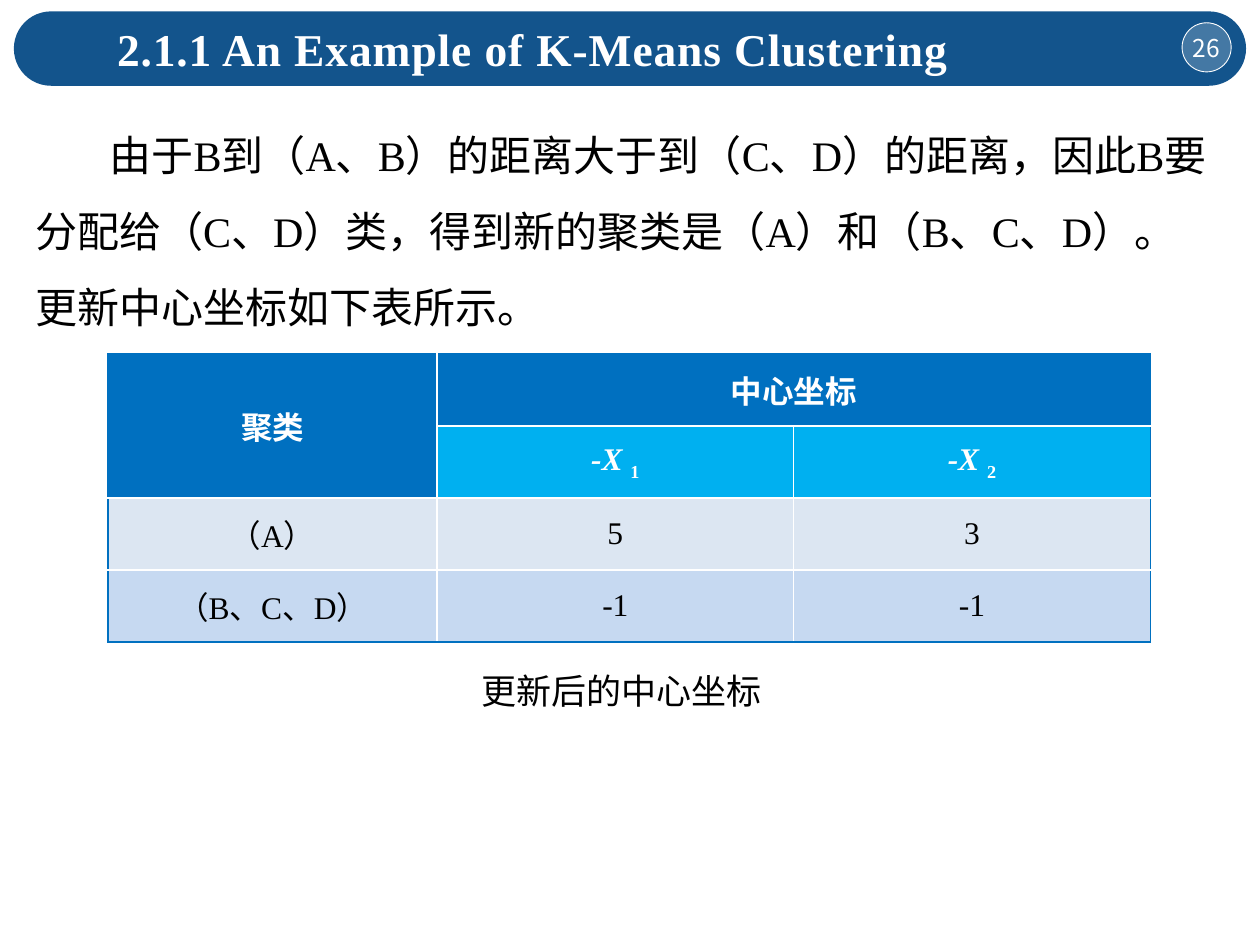
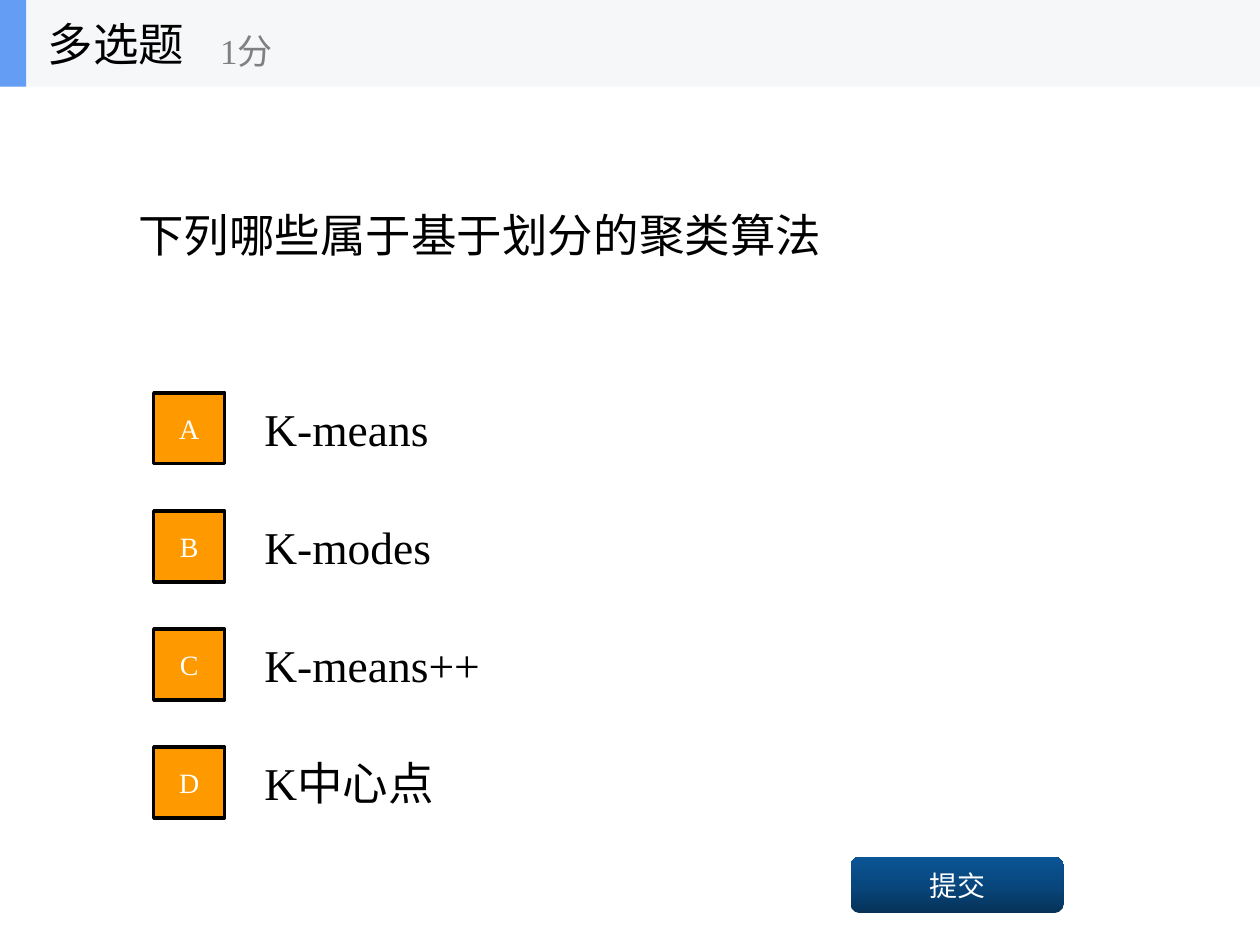
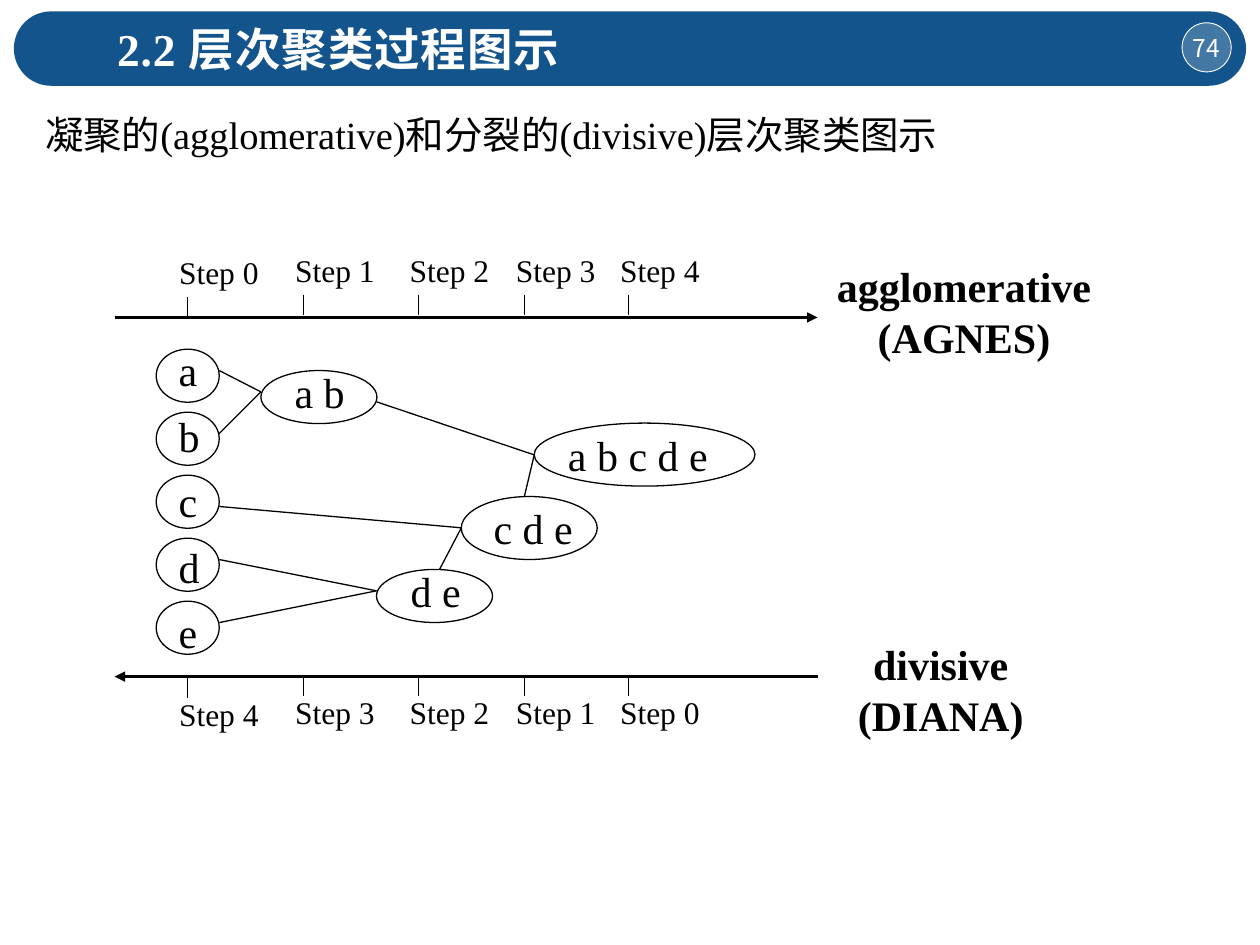
import copy
from dataclasses import dataclass

import lxml.etree
import pptx
import pptx.dml.color
import pptx.enum.shapes
import pptx.enum.text
import pptx.oxml.ns
import pptx.util

Cm, Pt = pptx.util.Cm, pptx.util.Pt
qn = pptx.oxml.ns.qn
Shape = pptx.enum.shapes.MSO_SHAPE
Align = pptx.enum.text.PP_ALIGN
Anchor = pptx.enum.text.MSO_ANCHOR

# Shared look
SERIF, SANS = "Times New Roman", "Noto Sans CJK SC"
BLACK, WHITE, GREY = "000000", "FFFFFF", "808080"
BAND, ORANGE, BULLET = "13548C", "FF9900", "FF6600"
TABLE_BLUE, SUBHEAD_BLUE = "0070C0", "00B0F0"
SUBMIT_STOPS = [(0, "063258"), (50, "08477E"), (100, "0A5595")]


@dataclass(frozen=True)
class Style:
    size: float
    color: str = BLACK
    bold: bool = False
    font: str = SERIF
    align: Align = Align.LEFT


@dataclass(frozen=True)
class Box:
    """Left, top, width and height in centimetres."""
    left: float
    top: float
    width: float
    height: float

    def lengths(self) -> list:
        return [Cm(v) for v in (self.left, self.top, self.width, self.height)]


@dataclass(frozen=True)
class Cluster:
    members: str
    oval: Box
    label: Box


@dataclass(frozen=True)
class Timeline:
    axis_y: float
    tick_top: float
    label_top: float
    steps: range
    arrow: str
    method: str
    method_box: Box


TITLE = Style(26, WHITE, bold=True)
PAGE_NUMBER = Style(14, WHITE, font=SANS, align=Align.CENTER)
BODY = Style(24)
QUIZ = Style(26)
BUTTON = Style(16, WHITE, align=Align.CENTER)
METHOD = Style(24, bold=True, align=Align.CENTER)


def rgb(color: str):
    return pptx.dml.color.RGBColor.from_string(color)


def add_xml(parent, tag: str, **attributes: str):
    child = lxml.etree.SubElement(parent, qn(tag))
    for key, value in attributes.items():
        child.set(key, value)
    return child


def set_style(paragraph, style: Style) -> None:
    paragraph.alignment = style.align
    font = paragraph.font
    font.size, font.bold, font.name = Pt(style.size), style.bold, style.font
    font.color.rgb = rgb(style.color)
    add_xml(paragraph._p.pPr.find(qn("a:defRPr")), "a:ea", typeface=SANS)


def write(frame, text: str, style: Style, anchor=Anchor.TOP, inset: bool = True,
          wrap: bool = True):
    """Fill a text frame, one paragraph a line, and return the first paragraph."""
    frame.word_wrap = wrap
    frame.vertical_anchor = anchor
    if not inset:
        frame.margin_left = frame.margin_right = 0
        frame.margin_top = frame.margin_bottom = 0
    frame.text = text
    for paragraph in frame.paragraphs:
        set_style(paragraph, style)
    return frame.paragraphs[0]


def add_text(slide, box: Box, text: str, style: Style, anchor=Anchor.TOP,
             inset: bool = True, wrap: bool = True):
    frame = slide.shapes.add_textbox(*box.lengths()).text_frame
    paragraph = write(frame, text, style, anchor, inset, wrap)
    if not wrap:
        frame.auto_size = pptx.enum.text.MSO_AUTO_SIZE.SHAPE_TO_FIT_TEXT
    return paragraph


def add_shape(slide, kind, box: Box, fill: str = "", line: str = "", width: float = 0.75):
    shape = slide.shapes.add_shape(kind, *box.lengths())
    shape.shadow.inherit = False
    if fill:
        shape.fill.solid()
        shape.fill.fore_color.rgb = rgb(fill)
    else:
        shape.fill.background()
    if line:
        shape.line.color.rgb = rgb(line)
        shape.line.width = Pt(width)
    else:
        shape.line.fill.background()
    return shape


def add_line(slide, x1: float, y1: float, x2: float, y2: float,
             width: float = 0.75, arrow: str = "") -> None:
    line = slide.shapes.add_connector(pptx.enum.shapes.MSO_CONNECTOR.STRAIGHT,
                                      Cm(x1), Cm(y1), Cm(x2), Cm(y2))
    line.line.color.rgb = rgb(BLACK)
    line.line.width = Pt(width)
    if arrow:
        add_xml(line.line._get_or_add_ln(), arrow, type="triangle")
    add_xml(line._element.spPr, "a:effectLst")


def add_heading(slide, title: str, page: int) -> None:
    band = add_shape(slide, Shape.ROUNDED_RECTANGLE, Box(0.28, 0.23, 24.84, 1.5), BAND)
    band.adjustments[0] = 0.5
    badge = add_shape(slide, Shape.OVAL, Box(23.83, 0.46, 0.99, 0.99), WHITE, WHITE, 0.5)
    badge_color = badge._element.spPr.find(qn("a:solidFill"))[0]
    add_xml(badge_color, "a:alpha", val="21000")
    write(badge.text_frame, str(page), PAGE_NUMBER, Anchor.MIDDLE, inset=False, wrap=False)
    heading = add_text(slide, Box(2.11, 0.3, 18.8, 1.37), title, TITLE)
    heading.runs[0]._r.get_or_add_rPr().set("spc", "50")


# Table of centres
def set_border(cell, side: str, color: str) -> None:
    line = add_xml(cell._tc.get_or_add_tcPr(), f"a:{side}", w=str(Pt(1)))
    add_xml(add_xml(line, "a:solidFill"), "a:srgbClr", val=color)


def add_centres_table(slide) -> None:
    rows = [["聚类", "中心坐标", ""],
            ["", "-X 1", "-X 2"],
            ["（A）", "5", "3"],
            ["（B、C、D）", "-1", "-1"]]
    fills = [TABLE_BLUE, SUBHEAD_BLUE, "DCE6F2", "C6D9F1"]
    widths = [6.63, 7.19, 7.19]
    row_height = 1.45
    box = Box(2.18, 7.14, sum(widths), row_height * len(rows))
    table = slide.shapes.add_table(len(rows), len(widths), *box.lengths()).table
    table.first_row = table.horz_banding = False
    for column, width in zip(table.columns, widths):
        column.width = Cm(width)
    for row in table.rows:
        row.height = Cm(row_height)
    table.cell(0, 0).merge(table.cell(1, 0))
    table.cell(0, 1).merge(table.cell(0, 2))

    for r, texts in enumerate(rows):
        for c, text in enumerate(texts):
            cell = table.cell(r, c)
            if cell.is_spanned:
                continue
            is_head = r < 2
            cell.margin_left = cell.margin_right = cell.margin_top = cell.margin_bottom = 0
            cell.vertical_anchor = Anchor.MIDDLE
            style = Style(18, WHITE if is_head else BLACK, bold=is_head, align=Align.CENTER)
            paragraph = cell.text_frame.paragraphs[0]
            set_style(paragraph, style)
            if r == 1:
                variable, index = paragraph.add_run(), paragraph.add_run()
                variable.text, index.text = text[:-1], text[-1]
                variable.font.italic = True
                index._r.get_or_add_rPr().set("baseline", "-24000")
            else:
                paragraph.add_run().text = text
            # Outer edges are blue, inner ones white
            bottom = r + (cell.span_height if cell.is_merge_origin else 1)
            right = c + (cell.span_width if cell.is_merge_origin else 1)
            outer = {"lnL": c == 0, "lnR": right == len(widths),
                     "lnT": r == 0, "lnB": bottom == len(rows)}
            for side, is_outer in outer.items():
                set_border(cell, side, TABLE_BLUE if is_outer else WHITE)
            cell.fill.solid()
            cell.fill.fore_color.rgb = rgb(fills[r])


def build_example(slide) -> None:
    add_heading(slide, "2.1.1 An Example of K-Means Clustering", 26)
    explanation = add_text(
        slide, Box(0.71, 2.11, 24, 4.45),
        "由于B到（A、B）的距离大于到（C、D）的距离，因此B要分配给（C、D）类，"
        "得到新的聚类是（A）和（B、C、D）。 更新中心坐标如下表所示。", BODY, inset=False)
    explanation.line_spacing = 1.5
    explanation._p.pPr.set("indent", str(Cm(1.5)))
    add_centres_table(slide)
    caption = add_text(slide, Box(9.7, 13.59, 5.99, 0.79), "更新后的中心坐标",
                       Style(20), inset=False)
    caption.line_spacing = Pt(21.5)


# Quiz
def build_quiz(slide) -> None:
    header_height = 1.75
    add_shape(slide, Shape.RECTANGLE, Box(0, 0, 25.4, header_height), "F6F7F8")
    add_shape(slide, Shape.RECTANGLE, Box(0, 0, 0.53, header_height), "639EF4")
    add_text(slide, Box(0.71, 0, 5.28, header_height), "多选题", QUIZ, Anchor.MIDDLE)
    add_text(slide, Box(4.19, 0.3, 6.35, 1.42), "1分", Style(20, GREY), Anchor.MIDDLE)
    add_text(slide, Box(2.54, 1.75, 20.32, 5.94), "下列哪些属于基于划分的聚类算法",
             QUIZ, Anchor.MIDDLE)

    options = ["K-means", "K-modes", "K-means++", "K中心点"]
    for i, (letter, option) in enumerate(zip("ABCD", options)):
        top = 7.75 + 2.38 * i
        add_text(slide, Box(5.08, top, 17.78, 1.78), option, QUIZ, Anchor.MIDDLE)
        key = add_shape(slide, Shape.RECTANGLE, Box(3.1, top + 0.17, 1.43, 1.43),
                        ORANGE, BLACK, 2)
        write(key.text_frame, letter, BUTTON, Anchor.MIDDLE)

    submit = add_shape(slide, Shape.ROUNDED_RECTANGLE, Box(17.15, 17.27, 4.29, 1.14))
    submit.fill.gradient()
    submit.fill.gradient_angle = 90
    stop_list = submit._element.spPr.find(qn("a:gradFill")).find(qn("a:gsLst"))
    stop_list.insert(1, copy.deepcopy(stop_list[0]))
    for stop, (position, color) in zip(submit.fill.gradient_stops, SUBMIT_STOPS):
        stop.position = position / 100
        stop.color.rgb = rgb(color)
    write(submit.text_frame, "提交", BUTTON, Anchor.MIDDLE)


# Hierarchical clustering
AXIS_LEFT, AXIS_RIGHT = 2.31, 16.48
TICKS = [3.78, 6.12, 8.43, 10.57, 12.67]
TIMELINES = [
    Timeline(6.4, 5.94, 4.93, range(5), "a:tailEnd",
             "agglomerative\n(AGNES)", Box(16.59, 5.13, 5.69, 2.31)),
    Timeline(13.64, 13.61, 13.84, range(4, -1, -1), "a:headEnd",
             "divisive\n(DIANA)", Box(17.02, 12.75, 3.89, 2.31)),
]
LABEL_HEIGHT = 1.27
LEAVES = [Cluster(name, Box(3.15, 7.04 + 1.27 * i, 1.27, 1.07),
                  Box(3.35, 6.83 + 1.32 * i, 0.91, LABEL_HEIGHT))
          for i, name in enumerate("abcde")]
MERGED = [
    Cluster("a b", Box(5.26, 7.47, 2.34, 1.07), Box(5.69, 7.26, 1.52, LABEL_HEIGHT)),
    Cluster("d e", Box(7.59, 11.48, 2.34, 1.07), Box(8.03, 11.28, 1.52, LABEL_HEIGHT)),
    Cluster("c d e", Box(9.3, 10.01, 2.74, 1.27), Box(9.7, 10.01, 2.11, LABEL_HEIGHT)),
    Cluster("a b c d e", Box(10.77, 8.53, 4.45, 1.27), Box(11.2, 8.53, 3.33, LABEL_HEIGHT)),
]
# Where each merged cluster is entered, and where its members' lines start
LINKS = {
    (5.26, 7.9): [(4.42, 7.47), (4.42, 8.74)],
    (7.59, 11.91): [(4.42, 11.28), (4.42, 12.55)],
    (9.3, 10.64): [(4.42, 10.21), (8.86, 11.48)],
    (10.77, 9.17): [(7.59, 8.1), (10.57, 10.01)],
}


def add_timeline(slide, timeline: Timeline) -> None:
    add_line(slide, AXIS_LEFT, timeline.axis_y, AXIS_RIGHT, timeline.axis_y,
             1.5, timeline.arrow)
    for i, (x, step) in enumerate(zip(TICKS, timeline.steps)):
        drop = 0.04 if i == 0 else 0
        top = timeline.tick_top + drop
        add_line(slide, x, top, x, top + 0.42)
        add_text(slide, Box(x - 0.42, timeline.label_top + drop, 2.11, 1.02),
                 f"Step {step}", Style(18), wrap=False)
    add_text(slide, timeline.method_box, timeline.method, METHOD, wrap=False)


def build_hierarchy(slide) -> None:
    add_heading(slide, "2.2 层次聚类过程图示", 74)
    point = slide.shapes.add_textbox(*Box(0.71, 2.11, 23.19, 1.5).lengths()).text_frame
    point.margin_left = point.margin_right = Cm(0.2)
    paragraph = point.paragraphs[0]
    paragraph.line_spacing = 1.5
    properties = paragraph._p.get_or_add_pPr()
    properties.set("marL", str(Cm(1)))
    properties.set("indent", str(Cm(-1)))
    add_xml(add_xml(properties, "a:buClr"), "a:srgbClr", val=BULLET)
    add_xml(properties, "a:buSzPct", val="80000")
    add_xml(properties, "a:buChar", char="●")
    write(point, "凝聚的(agglomerative)和分裂的(divisive)层次聚类图示", Style(22))

    for timeline in TIMELINES:
        add_timeline(slide, timeline)
    for cluster in LEAVES + MERGED:
        add_text(slide, cluster.label, cluster.members, BODY, wrap=False)
        add_shape(slide, Shape.OVAL, cluster.oval, line=BLACK)
    for entry, starts in LINKS.items():
        for start in starts:
            add_line(slide, *start, *entry)


def main() -> None:
    deck = pptx.Presentation()
    deck.slide_width, deck.slide_height = Cm(25.4), Cm(19.05)
    for build in (build_example, build_quiz, build_hierarchy):
        build(deck.slides.add_slide(deck.slide_layouts[6]))
    deck.save("out.pptx")


if __name__ == "__main__":
    main()
